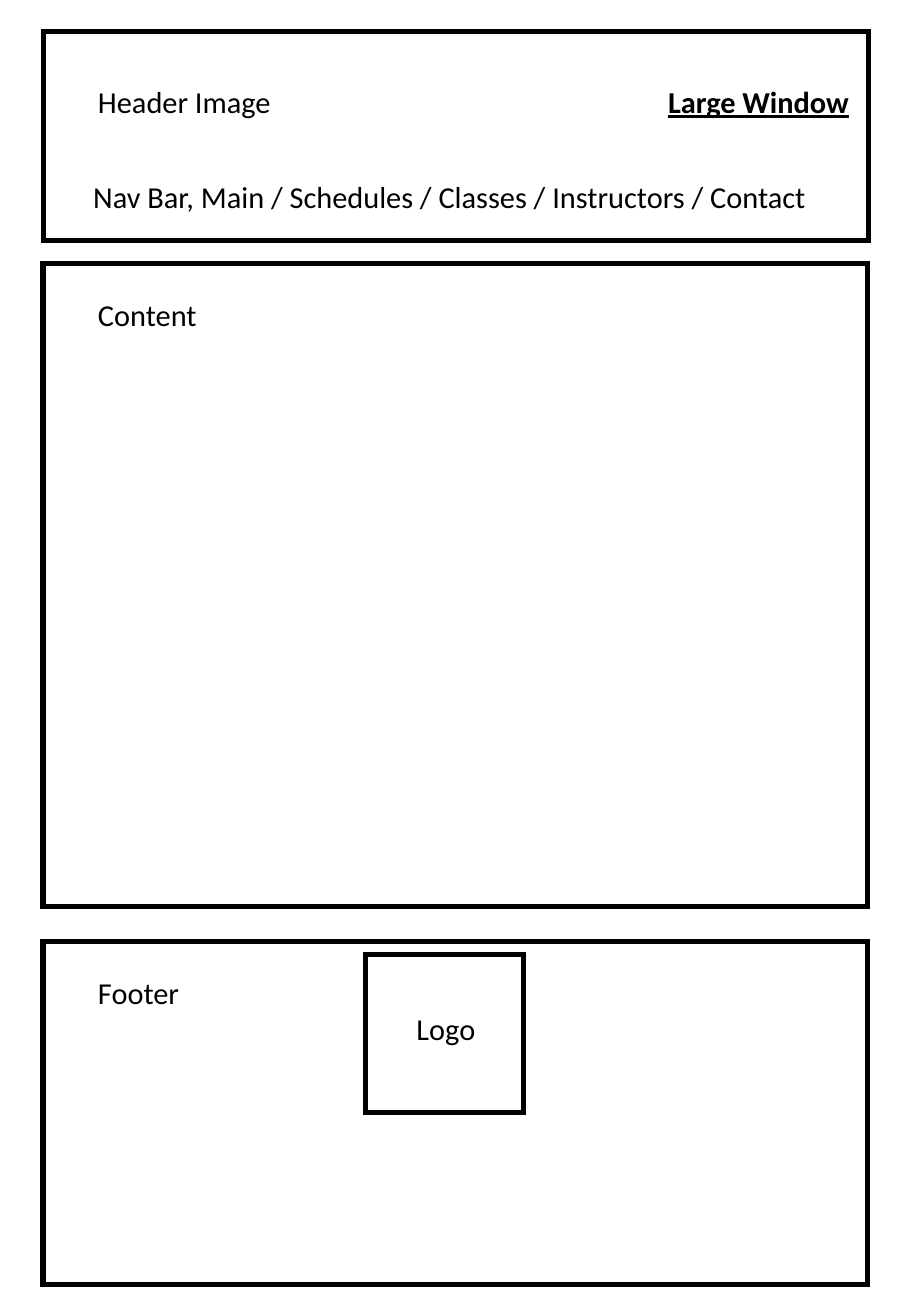
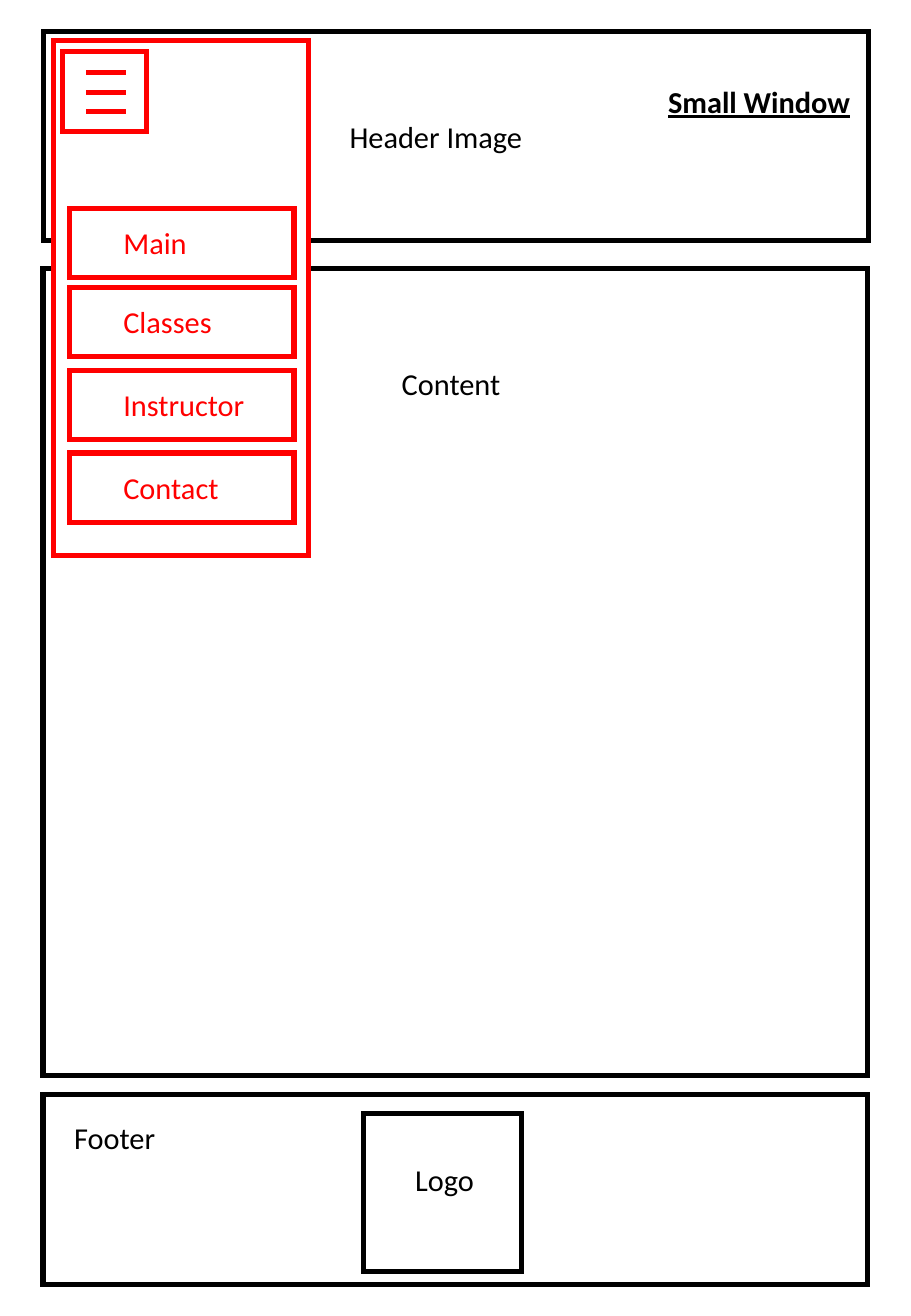
"""Build two web page wireframes: a large window and a small window with a menu."""
from lxml import etree
from pptx import Presentation
from pptx import util as u
from pptx.dml.color import RGBColor
from pptx.enum import shapes, text
from pptx.oxml.ns import qn

BLACK, RED, WHITE = "000000", "FF0000", "FFFFFF"
STROKE = u.Pt(3)
FRAME_LEFT, FRAME_WIDTH = 0.9, 17.25
LOGO_SIZE = 3.3


def add_frame(page, left, top, width, height, color=BLACK, fill=None):
    frame = page.shapes.add_shape(shapes.MSO_SHAPE.RECTANGLE,
                                  u.Cm(left), u.Cm(top), u.Cm(width), u.Cm(height))
    frame.shadow.inherit = False
    if fill:
        frame.fill.solid()
        frame.fill.fore_color.rgb = RGBColor.from_string(fill)
    else:
        frame.fill.background()
    frame.line.color.rgb = RGBColor.from_string(color)
    frame.line.width = STROKE
    etree.SubElement(frame.line._get_or_add_ln(), qn("a:miter"), lim="800000")


def add_label(page, words, left, top, width=4.93, color=BLACK, bold=None, underline=None):
    box = page.shapes.add_textbox(u.Cm(left), u.Cm(top), u.Cm(width), u.Cm(1.02))
    box.text_frame.word_wrap = True
    box.text_frame.auto_size = text.MSO_AUTO_SIZE.SHAPE_TO_FIT_TEXT
    span = box.text_frame.paragraphs[0].add_run()
    span.text = words
    span.font.name = "Calibri"
    span.font.size = u.Pt(18)
    span.font.bold = bold
    span.font.underline = underline
    span.font.color.rgb = RGBColor.from_string(color)


deck = Presentation()
deck.slide_width, deck.slide_height = u.Cm(19.05), u.Cm(27.51)

windows = [
    dict(title="Large Window", header=(1.8, 1.61),
         nav="Nav Bar, Main / Schedules / Classes / Instructors / Contact", menu=[],
         content_frame=(5.51, 13.44), content=(1.8, 6.07),
         footer_frame=(19.69, 7.16), footer=(1.8, 20.24),
         logo_frame=(7.65, 19.96), logo=(8.46, 20.99)),
    dict(title="Small Window", header=(7.06, 2.34), nav=None,
         menu=[("Main", 4.35), ("Classes", 6.01), ("Instructor", 7.74), ("Contact", 9.47)],
         content_frame=(5.61, 16.87), content=(8.15, 7.51),
         footer_frame=(22.89, 3.96), footer=(1.3, 23.28),
         logo_frame=(7.6, 23.28), logo=(8.43, 24.15)),
]

for window in windows:
    page = deck.slides.add_slide(deck.slide_layouts[6])
    add_frame(page, 0.91, 0.66, FRAME_WIDTH, 4.37)
    add_label(page, "Header Image", *window["header"])
    if window["nav"]:
        add_label(page, window["nav"], 1.7, 3.59, width=16.71)

    for part in ("content", "footer"):
        top, height = window[part + "_frame"]
        add_frame(page, FRAME_LEFT, top, FRAME_WIDTH, height)
        add_label(page, part.capitalize(), *window[part])
    add_frame(page, *window["logo_frame"], LOGO_SIZE, LOGO_SIZE)
    add_label(page, "Logo", *window["logo"])

    if window["menu"]:
        add_frame(page, 1.12, 0.85, 5.33, 10.77, color=RED, fill=WHITE)
        add_frame(page, 1.3, 1.07, 1.77, 1.68, color=RED)
        for row in range(3):
            height = u.Cm(1.52 + 0.41 * row)
            bar = page.shapes.add_connector(shapes.MSO_CONNECTOR.STRAIGHT,
                                            u.Cm(1.8), height, u.Cm(2.64), height)
            bar.line.color.rgb = RGBColor.from_string(RED)
            bar.line.width = STROKE
            etree.SubElement(bar._element.spPr, qn("a:effectLst"))
    for item, top in window["menu"]:
        add_frame(page, 1.45, top, 4.7, 1.45, color=RED)
        add_label(page, item, 2.33, top + 0.21, width=3.8, color=RED)

    add_label(page, window["title"], 13.72, 1.61, bold=True, underline=True)

deck.save("out.pptx")
